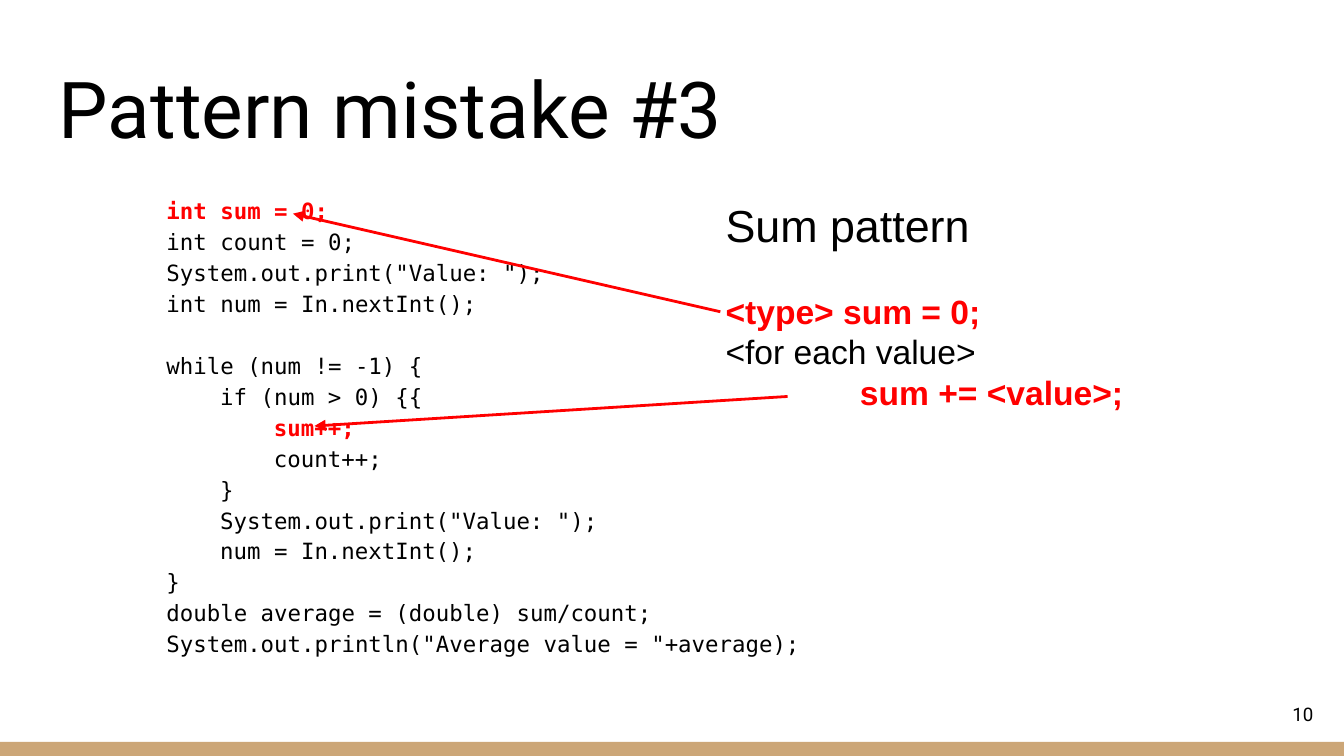
"""Build the slide that matches a buggy averaging loop with the sum pattern."""
from lxml.etree import SubElement
from pptx import Presentation
from pptx.dml.color import RGBColor
from pptx.enum.shapes import MSO_CONNECTOR, MSO_SHAPE
from pptx.enum.text import MSO_ANCHOR as ANCHOR, PP_ALIGN as ALIGN
from pptx.oxml.ns import qn
from pptx.util import Inches, Pt

COLORS = {"text": "000000", "mistake": "FF0000", "bar": "CCA677"}
MARGIN, TAB = 0.8, 0.4
TITLE = "Pattern mistake #3"
PAGE = "10"

# level, text, is_mistake, gap_before
CODE = [
    (0, "int sum = 0;", True, 0),
    (0, "int count = 0;", False, 0),
    (0, 'System.out.print("Value: ");', False, 0),
    (0, "int num = In.nextInt();", False, 0),
    (0, "while (num != -1) {", False, 16.6),
    (1, "if (num > 0) {{", False, 0),
    (2, "sum++;", True, 0),
    (2, "count++;", False, 0),
    (1, "}", False, 0),
    (1, 'System.out.print("Value: ");', False, 0),
    (1, "num = In.nextInt();", False, 0),
    (0, "}", False, 0),
    (0, "double average = (double) sum/count;", False, 0),
    (0, 'System.out.println("Average value = "+average);', False, 0),
]
PATTERN = [
    {"text": "Sum pattern", "size": 24},
    {"text": "<type> sum = 0;", "mistake": True, "gap": 21.2},
    {"text": "<for each value>"},
    {"text": "sum += <value>;", "mistake": True, "indent": 1},
]
ARROWS = [((5.36, 2.32), (2.18, 1.59)), ((5.86, 2.95), (2.34, 3.17))]


def rgb(name):
    return RGBColor.from_string(COLORS[name])


def add_text(slide, box, lines, font, size, anchor=ANCHOR.TOP, **para):
    tf = slide.shapes.add_textbox(*map(Inches, box)).text_frame
    frame = {"word_wrap": True, "vertical_anchor": anchor}
    frame |= {f"margin_{side}": Inches(0.1) for side in ("left", "top", "right", "bottom")}
    for key, value in frame.items():
        setattr(tf, key, value)
    for i, line in enumerate(lines):
        p = tf.paragraphs[0] if i == 0 else tf.add_paragraph()
        for key, value in {"space_before": Pt(line.get("gap", 0)), **para}.items():
            setattr(p, key, value)
        p._p.get_or_add_pPr().set("marL", str(Inches(line.get("indent", 0))))
        r = p.add_run()
        r.text = line["text"]
        mistake = line.get("mistake", False)
        style = {"name": font, "size": Pt(line.get("size", size)), "bold": mistake}
        for key, value in style.items():
            setattr(r.font, key, value)
        r.font.color.rgb = rgb("mistake" if mistake else "text")


def add_arrow(slide, start, end):
    line = slide.shapes.add_connector(MSO_CONNECTOR.STRAIGHT, *map(Inches, start + end))
    line.line.color.rgb = rgb("mistake")
    line.line.width = Pt(1.5)
    SubElement(line.line._get_or_add_ln(), qn("a:tailEnd"), type="triangle")
    SubElement(line._element.spPr, qn("a:effectLst"))


def main():
    prs = Presentation()
    prs.slide_width = Inches(10)
    prs.slide_height = prs.slide_width * 9 // 16
    slide = prs.slides.add_slide(prs.slide_layouts[6])

    top = Inches(5.52)
    bar = slide.shapes.add_shape(
        MSO_SHAPE.RECTANGLE, 0, top, prs.slide_width, prs.slide_height - top)
    bar.shadow.inherit = False
    bar.fill.solid()
    bar.fill.fore_color.rgb = rgb("bar")
    bar.line.fill.background()

    code = [
        {"text": text, "indent": MARGIN + level * TAB, "mistake": mistake, "gap": gap}
        for level, text, mistake, gap in CODE
    ]
    add_text(slide, (0.34, 0.34, 9.32, 0.91), [{"text": TITLE}], "Roboto", 42, ANCHOR.BOTTOM)
    add_text(slide, (0.34, 1.34, 9.32, 3.67), code, "DejaVu Sans Mono", 12, line_spacing=1.15)
    add_text(slide, (9.27, 5.1, 0.6, 0.43), [{"text": PAGE}], "Roboto", 10,
             ANCHOR.MIDDLE, alignment=ALIGN.RIGHT)
    add_text(slide, (5.3, 1.37, 4.18, 3.32), PATTERN, "Arial", 18)
    for start, end in ARROWS:
        add_arrow(slide, start, end)
    prs.save("out.pptx")


if __name__ == "__main__":
    main()
